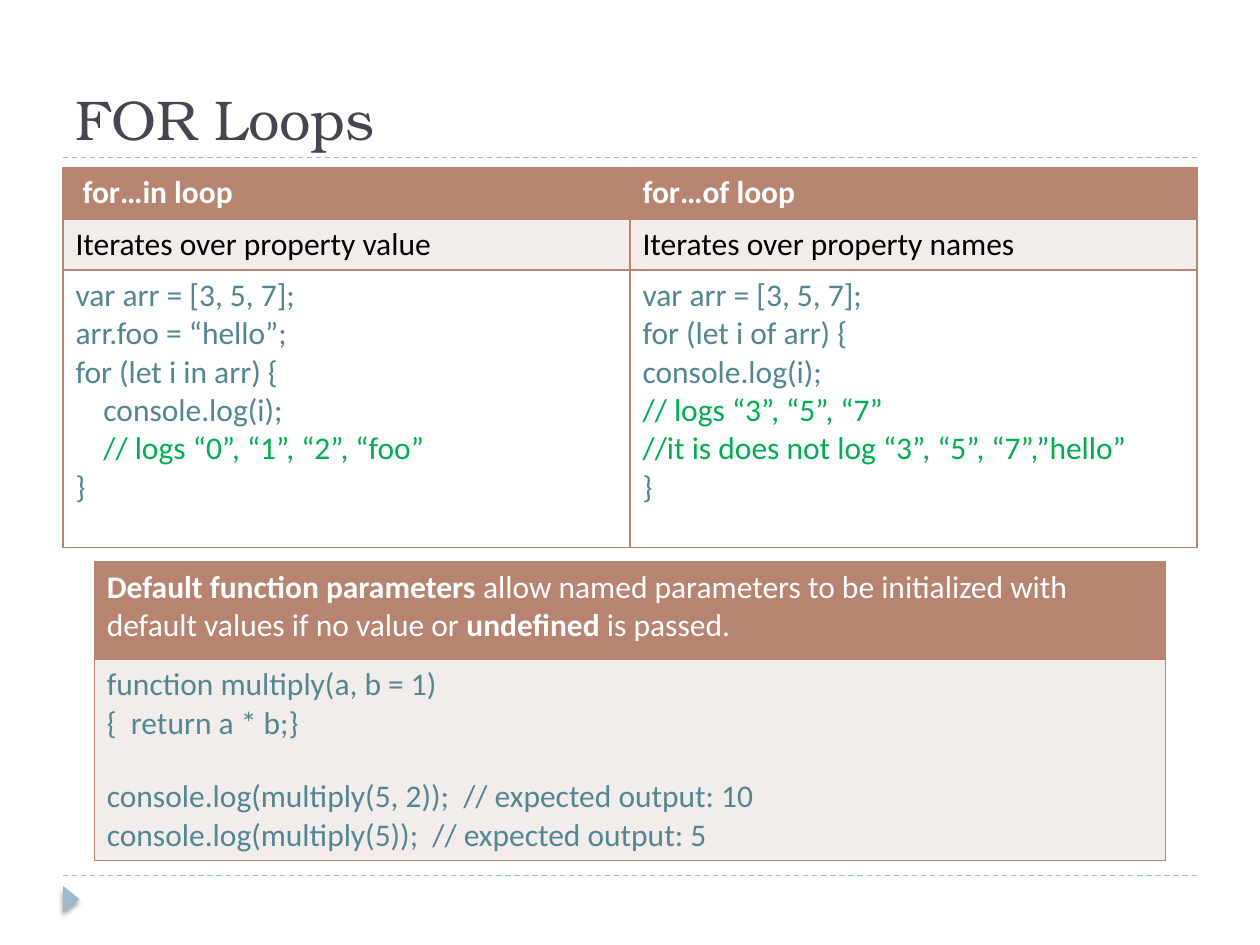
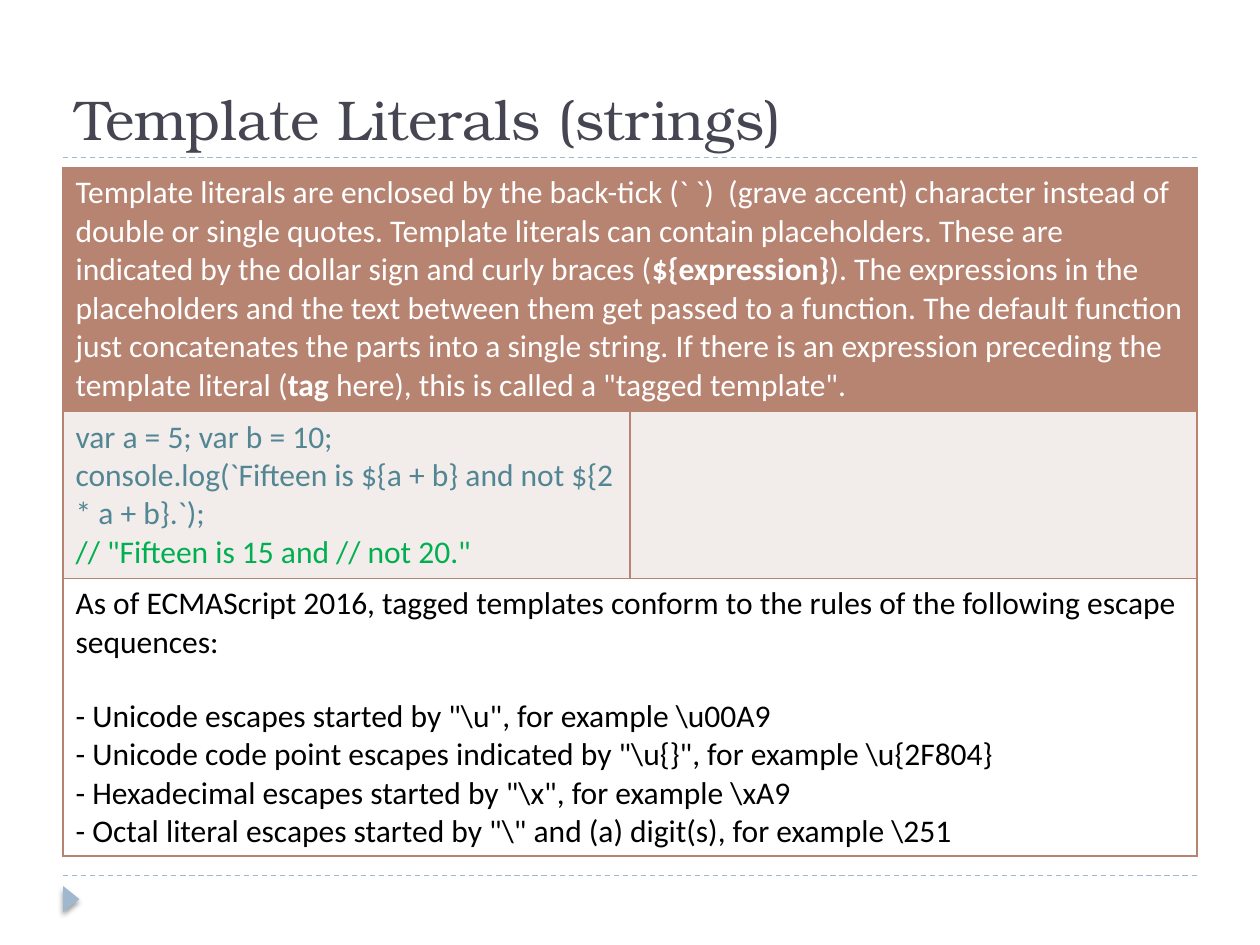
from lxml import etree
from pptx import Presentation, util as u
from pptx.dml import color as dml_color
from pptx.enum import dml, shapes, text
from pptx.oxml import parse_xml
from pptx.oxml.ns import nsdecls, qn

rgb = dml_color.RGBColor.from_string
CLAY, PALE, WHITE, BLACK = "B88472", "F2ECEB", "FFFFFF", "000000"
CODE, COMMENT, SKY, INK = "528693", "00B050", "9FB8CD", "464653"
LEFT, WIDTH, RULE_TOP, RULE_BOTTOM = 1.27, 22.86, 3.18, 17.65


def write(frame, content, font="Calibri", size=18, color=BLACK, bold=False):
    frame.word_wrap = True
    gap = False
    paragraph = frame.paragraphs[0]
    for number, line in enumerate(content.split("\n")):
        if not line:
            gap = True
            continue
        if number:
            paragraph = frame.add_paragraph()
        if gap:
            paragraph.space_before = u.Pt(20.3)
            gap = False
        words = line.lstrip(" ")
        indent = u.Cm(0.14 * (len(line) - len(words)))
        if indent:
            paragraph._p.get_or_add_pPr().set("marL", str(indent))
        for part, piece in enumerate(words.split("**")):
            if piece:
                run = paragraph.add_run()
                run.text = piece
                run.font.name = font
                run.font.size = u.Pt(size)
                run.font.bold = bold or part % 2 == 1
                run.font.color.rgb = rgb(COMMENT if words.startswith("//") else color)


def add_grid(slide, left, top, width, columns, rows):
    height = sum(row[0] for row in rows)
    grid = slide.shapes.add_table(len(rows), columns, u.Cm(left), u.Cm(top),
                                  u.Cm(width), u.Cm(height)).table
    grid.first_row = grid.horz_banding = False
    for r, (row_height, fill, color, bold, contents) in enumerate(rows):
        grid.rows[r].height = u.Cm(row_height)
        for cell in grid.rows[r].cells:
            borders = cell._tc.get_or_add_tcPr()
            for side in ("lnL", "lnR", "lnT", "lnB"):
                borders.append(parse_xml(
                    f'<a:{side} {nsdecls("a")} w="12192"><a:solidFill>'
                    f'<a:srgbClr val="{CLAY}"/></a:solidFill></a:{side}>'))
            cell.fill.solid()
            cell.fill.fore_color.rgb = rgb(fill)
        if len(contents) < columns:
            grid.cell(r, 0).merge(grid.cell(r, columns - 1))
        for c, content in enumerate(contents):
            write(grid.cell(r, c).text_frame, content, color=color, bold=bold)


for_in_code = """var arr = [3, 5, 7];
arr.foo = “hello”;
for (let i in arr) {
    console.log(i);
    // logs “0”, “1”, “2”, “foo”
}"""
for_of_code = """var arr = [3, 5, 7];
for (let i of arr) {
console.log(i);
// logs “3”, “5”, “7”
//it is does not log “3”, “5”, “7”,”hello”
}"""
default_parameters = (
    "**Default function parameters** allow named parameters to be initialized "
    "with default values if no value or **undefined** is passed.")
multiply_code = """function multiply(a, b = 1)
{  return a * b;}

console.log(multiply(5, 2));  // expected output: 10
console.log(multiply(5));  // expected output: 5"""
template_literals = (
    "Template literals are enclosed by the back-tick (` `)  (grave accent) character "
    "instead of double or single quotes. Template literals can contain placeholders. "
    "These are indicated by the dollar sign and curly braces (**${expression}**). "
    "The expressions in the placeholders and the text between them get passed to a "
    "function. The default function just concatenates the parts into a single string. "
    "If there is an expression preceding the template literal (**tag** here), "
    'this is called a "tagged template".')
fifteen_code = """var a = 5; var b = 10;
console.log(`Fifteen is ${a + b} and not ${2 * a + b}.`);
// "Fifteen is 15 and // not 20.\""""
escape_sequences = r"""As of ECMAScript 2016, tagged templates conform to the rules of the following escape sequences:

- Unicode escapes started by "\u", for example \u00A9
- Unicode code point escapes indicated by "\u{}", for example \u{2F804}
- Hexadecimal escapes started by "\x", for example \xA9
- Octal literal escapes started by "\" and (a) digit(s), for example \251"""

loop_rows = [
    (1.03, CLAY, WHITE, True, [" for…in loop", "for…of loop"]),
    (1.03, PALE, BLACK, False,
     ["Iterates over property value", "Iterates over property names"]),
    (5.6, WHITE, CODE, False, [for_in_code, for_of_code]),
]
parameter_rows = [
    (1.96, CLAY, WHITE, False, [default_parameters]),
    (4.06, PALE, CODE, False, [multiply_code]),
]
literal_rows = [
    (4.92, CLAY, WHITE, False, [template_literals]),
    (3.36, PALE, CODE, False, [fifteen_code, ""]),
    (5.6, WHITE, BLACK, False, [escape_sequences]),
]
pages = [
    ("FOR Loops", [(LEFT, 3.38, WIDTH, 2, loop_rows),
                   (1.9, 11.33, 21.59, 1, parameter_rows)]),
    ("Template Literals (strings)", [(LEFT, 3.38, WIDTH, 2, literal_rows)]),
]

deck = Presentation()
deck.slide_width, deck.slide_height = u.Cm(25.4), u.Cm(19.05)

for heading, grids in pages:
    slide = deck.slides.add_slide(deck.slide_layouts[6])

    for y in (RULE_BOTTOM, RULE_TOP):
        rule = slide.shapes.add_connector(shapes.MSO_CONNECTOR.STRAIGHT, u.Cm(LEFT), u.Cm(y),
                                          u.Cm(LEFT + WIDTH), u.Cm(y))
        rule.line.color.rgb = rgb(SKY)
        rule.line.width = u.Pt(0.75)
        rule.line.dash_style = dml.MSO_LINE.DASH
        etree.SubElement(rule._element.spPr, qn("a:effectLst"))

    marker = slide.shapes.add_shape(shapes.MSO_SHAPE.ISOSCELES_TRIANGLE, u.Cm(1.17),
                                    u.Cm(17.96), u.Cm(0.53), u.Cm(0.33))
    marker.rotation = 90
    marker.fill.solid()
    marker.fill.fore_color.rgb = rgb(SKY)
    marker.line.fill.background()
    marker.shadow.inherit = False
    marker._element.spPr.find(qn("a:effectLst")).append(parse_xml(
        f'<a:outerShdw {nsdecls("a")} blurRad="38100" dist="25400" dir="5400000" '
        f'rotWithShape="0"><a:srgbClr val="{BLACK}"><a:alpha val="40000"/>'
        '</a:srgbClr></a:outerShdw>'))

    title = slide.shapes.add_textbox(u.Cm(LEFT), u.Cm(0.43), u.Cm(WIDTH), u.Cm(2.75))
    title.text_frame.vertical_anchor = text.MSO_ANCHOR.BOTTOM
    write(title.text_frame, heading, font="TeX Gyre Bonum", size=32, color=INK)

    for grid in grids:
        add_grid(slide, *grid)

deck.save("out.pptx")
